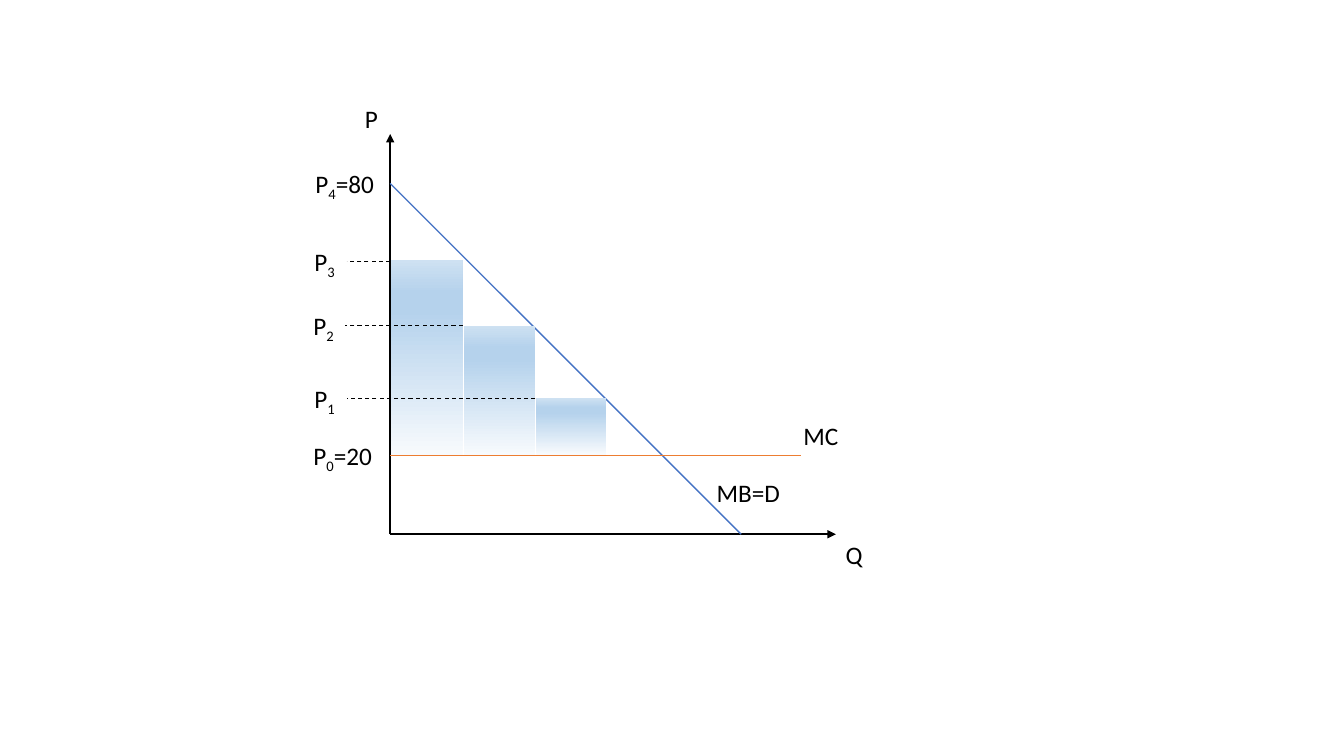
from lxml.etree import SubElement as Sub
from pptx import Presentation
from pptx.dml.color import RGBColor
from pptx.enum.dml import MSO_LINE_DASH_STYLE as Dash
from pptx.enum.shapes import MSO_CONNECTOR as Conn, MSO_SHAPE as Shape
from pptx.enum.text import MSO_AUTO_SIZE as Fit
from pptx.oxml.ns import qn
from pptx.util import Inches, Pt

BLACK = RGBColor(0x00, 0x00, 0x00)
BLUE = RGBColor(0x44, 0x72, 0xC4)
ORANGE = RGBColor(0xED, 0x7D, 0x31)
PALE = RGBColor(0xF7, 0xFA, 0xFD)
SKY = RGBColor(0xB5, 0xD2, 0xEC)
MIST = RGBColor(0xCE, 0xE1, 0xF2)

CELL = 0.1
LEFT, BASE = 38.7, 53
STEP = 7.2
FLOOR = 7.8
STOPS = ((0, PALE), (74, SKY), (83, SKY), (100, MIST))
FONT = {"name": "Calibri", "size": Pt(18)}
LEVELS = (("P|0|=20", -8.6, FLOOR, 8), ("P|1", -8.5, 13.5, 4.2),
          ("P|2", -8.6, 20.7, 4.2), ("P|3", -8.5, 27.1, 4.2),
          ("P|4|=80", -8.4, 34.8, 8))
NAMES = (("Q", 44.2, 0, 3.7), ("P", -3.5, 43.2, 3.3),
         ("MB=D", 31.4, 6.1, 8.4), ("MC", 40, 11.8, 5.5))
BARS = ((0, 27.2, 7.1), (1, 20.7, 7.1), (2, 13.5, 6.9))
DASHES = ((0, 27.1, -4.3), (1, 20.7, -4.5), (2, 13.5, -4.3))


def spot(col, row):
    """Turn grid cells right of and above the origin into slide lengths."""
    return Inches((LEFT + col) * CELL), Inches((BASE - row) * CELL)


def style(item, form):
    """Set attributes of an item from a dict."""
    for key, val in form.items():
        setattr(item, key, val)


def line(slide, start, end, color, width, dash=None, head=False):
    """Draw a straight line between two grid points."""
    link = slide.shapes.add_connector(Conn.STRAIGHT, *spot(*start), *spot(*end))
    link.line.color.rgb = color
    style(link.line, {"width": Pt(width), "dash_style": dash})
    if head:
        Sub(link.line._get_or_add_ln(), qn("a:tailEnd"), type="triangle")
    Sub(link._element.spPr, qn("a:effectLst"))


def label(slide, text, col, row, wide):
    """Write a label whose odd parts between bars are subscripts."""
    box = slide.shapes.add_textbox(*spot(col, row), Inches(wide * CELL), Inches(4 * CELL))
    frame = box.text_frame
    style(frame, {"word_wrap": False, "auto_size": Fit.SHAPE_TO_FIT_TEXT})
    for num, part in enumerate(text.split("|")):
        run = frame.paragraphs[0].add_run()
        run.text = part
        style(run.font, FONT)
        run.font.color.rgb = BLACK
        if num % 2:
            run._r.get_or_add_rPr().set("baseline", "-25000")


def bar(slide, step, top, wide):
    """Draw a shaded bar from the cost line up to a price."""
    high = top - FLOOR - 0.1
    box = slide.shapes.add_shape(Shape.RECTANGLE, *spot(step * STEP + 0.1, top),
                                 Inches(wide * CELL), Inches(high * CELL))
    box.shadow.inherit = False
    box.line.fill.background()
    box.fill.gradient()
    box.fill.gradient_angle = 90
    stops = box._element.spPr.find(qn("a:gradFill")).find(qn("a:gsLst"))
    for old in list(stops):
        stops.remove(old)
    for pos, color in STOPS:
        stop = Sub(stops, qn("a:gs"), pos=str(pos * 1000))
        Sub(stop, qn("a:srgbClr"), val=str(color))


def main():
    """Build the price and quantity diagram."""
    deck = Presentation()
    style(deck, {"slide_width": Inches(13.33), "slide_height": Inches(7.5)})
    slide = deck.slides.add_slide(deck.slide_layouts[6])
    for tip in ((0, 39.7), (44.2, 0)):
        line(slide, (0, 0), tip, BLACK, 1.5, head=True)
    line(slide, (0, 34.8), (34.8, 0), BLUE, 1)
    line(slide, (0, FLOOR), (40.7, FLOOR), ORANGE, 1)
    for item in BARS:
        bar(slide, *item)
    for name in NAMES:
        label(slide, *name)
    for text, col, row, wide in LEVELS:
        label(slide, text, col, row + 2, wide)
    for step, row, end in DASHES:
        line(slide, (step * STEP, row), (end, row), BLACK, 0.75, Dash.DASH)
    deck.save("out.pptx")


if __name__ == "__main__":
    main()
